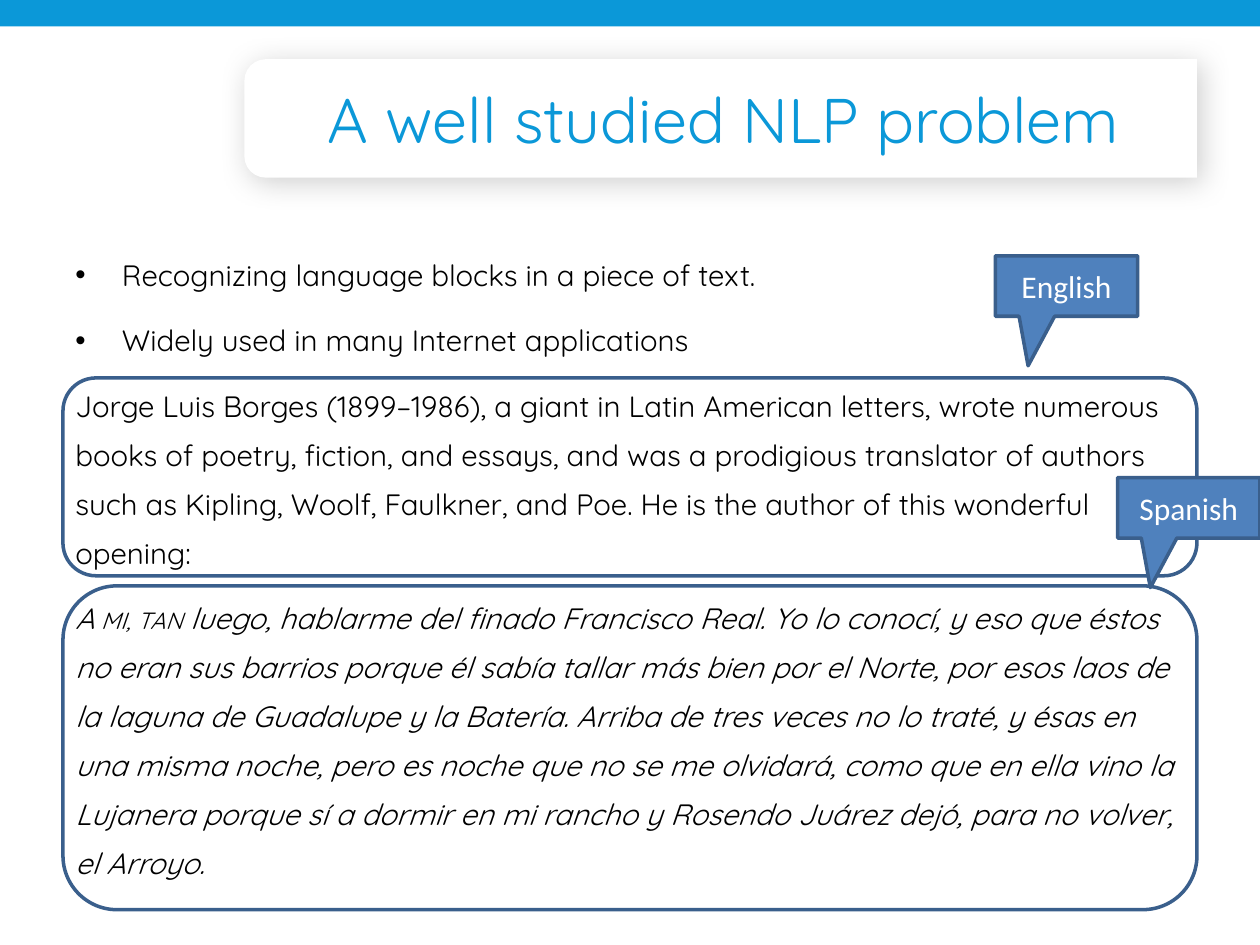
from lxml.etree import SubElement
from pptx import Presentation
from pptx.dml.color import RGBColor
from pptx.enum.shapes import MSO_SHAPE as Shape
from pptx.enum.text import MSO_ANCHOR as Anchor, MSO_AUTO_SIZE as AutoSize, PP_ALIGN as Align
from pptx.oxml.ns import qn
from pptx.util import Inches, Pt

COLORS = {"blue": "0B98D8", "callout": "4F81BD", "outline": "3A5F8C",
          "white": "FFFFFF", "black": "000000"}
TITLE = "A well studied NLP problem"
BULLETS = ["Recognizing language blocks in a piece of text.",
           "Widely used in many Internet applications"]
ENGLISH = ("Jorge Luis Borges (1899–1986), a giant in Latin American letters, wrote "
           "numerous books of poetry, fiction, and essays, and was a prodigious translator "
           "of authors such as Kipling, Woolf, Faulkner, and Poe. He is the author of this "
           "wonderful opening:")
SPANISH_LEAD = "A mi, tan"
SPANISH = (" luego, hablarme del finado Francisco Real. Yo lo conocí, y eso que éstos no "
           "eran sus barrios porque él sabía tallar más bien por el Norte, por esos laos de "
           "la laguna de Guadalupe y la Batería. Arriba de tres veces no lo traté, y ésas en "
           "una misma noche, pero es noche que no se me olvidará, como que en ella vino la "
           "Lujanera porque sí a dormir en mi rancho y Rosendo Juárez dejó, para no volver, "
           "el Arroyo.")
BLOCK_ROWS = [(3, 1.57), (4.65, 2.57)]                        # top, height
CALLOUTS = [("English", 7.9, 2.03), ("Spanish", 8.87, 3.79)]  # label, left, top

WIDTH, HEIGHT, MARGIN = 10, 7.5, 0.5
CONTENT_WIDTH = WIDTH - 2 * MARGIN
TITLE_TOP, TITLE_HEIGHT = 0.47, 0.94
PANEL_WIDTH = 7.56
INDENT = 0.37


def color(name):
    return RGBColor.from_string(COLORS[name])


def set_font(font, size, name, color_name):
    font.size, font.name = Pt(size), name
    font.color.rgb = color(color_name)


def add_shape(kind, left, top, width, height, fill=None, line=None):
    shape = slide.shapes.add_shape(kind, *map(Inches, (left, top, width, height)))
    shape.shadow.inherit = False
    if fill:
        shape.fill.solid()
        shape.fill.fore_color.rgb = color(fill)
    else:
        shape.fill.background()
    if line:
        shape.line.color.rgb = color(line)
        shape.line.width = Pt(2)
    else:
        shape.line.fill.background()
    return shape


def add_soft_shadow(shape):
    effects = shape._element.spPr.find(qn("a:effectLst"))
    shadow = SubElement(effects, qn("a:outerShdw"), blurRad=str(Pt(17)), dist=str(Pt(3)),
                        dir=str(45 * 60000), algn="ctr", rotWithShape="0")
    tint = SubElement(shadow, qn("a:srgbClr"), val=COLORS["black"])
    SubElement(tint, qn("a:alpha"), val="19000")


def add_bullet(paragraph):
    properties = paragraph._p.get_or_add_pPr()
    properties.set("marL", str(Inches(INDENT)))
    properties.set("indent", str(-Inches(INDENT)))
    SubElement(properties, qn("a:buFont"), typeface="Arial")
    SubElement(properties, qn("a:buChar"), char="•")


presentation = Presentation()
presentation.slide_width, presentation.slide_height = Inches(WIDTH), Inches(HEIGHT)
slide = presentation.slides.add_slide(presentation.slide_layouts[5])

# Title panel, turned so that its two rounded corners face left
panel = add_shape(Shape.ROUND_2_SAME_RECTANGLE,
                  WIDTH - MARGIN - (PANEL_WIDTH + TITLE_HEIGHT) / 2,
                  TITLE_TOP + (TITLE_HEIGHT - PANEL_WIDTH) / 2,
                  TITLE_HEIGHT, PANEL_WIDTH, fill="white")
panel.rotation = 270
panel.adjustments[0] = 0.18
add_soft_shadow(panel)
add_shape(Shape.RECTANGLE, 0, 0, WIDTH, 0.21, fill="blue")

# Body text
body = slide.shapes.add_textbox(*map(Inches, (MARGIN, 1.88, CONTENT_WIDTH, 5.45)))
frame = body.text_frame
frame.word_wrap = True
body_runs = [[text] for text in BULLETS] + [[ENGLISH], [SPANISH_LEAD, SPANISH]]
for index, texts in enumerate(body_runs):
    paragraph = frame.add_paragraph() if index else frame.paragraphs[0]
    paragraph.line_spacing = Pt(28)
    paragraph.space_before = Pt(3.36 if index else 0)
    paragraph.space_after = Pt(6)
    if index < len(BULLETS):
        add_bullet(paragraph)
    set_font(paragraph.font, 16.8, "Quicksand", "black")
    for text in texts:
        paragraph.add_run().text = text
spanish_paragraph = frame.paragraphs[-1]
spanish_paragraph.font.italic = True
spanish_paragraph.runs[0].font._element.set("cap", "small")

# Title, raised above its panel
title = slide.shapes.title
slide.shapes._spTree.append(title._element)
title.left, title.top, title.width, title.height = map(
    Inches, (2.5, TITLE_TOP, 7, TITLE_HEIGHT))
title.text_frame.text = TITLE
title.text_frame.auto_size = AutoSize.NONE
title.text_frame.vertical_anchor = Anchor.MIDDLE
title_paragraph = title.text_frame.paragraphs[0]
title_paragraph.alignment = Align.LEFT
set_font(title_paragraph.font, 36, "Quicksand", "blue")

# Language blocks and their callouts
for top, height in BLOCK_ROWS:
    add_shape(Shape.ROUNDED_RECTANGLE, MARGIN, top, CONTENT_WIDTH, height, line="outline")
for label, left, top in CALLOUTS:
    callout = add_shape(Shape.RECTANGULAR_CALLOUT, left, top, 1.13, 0.48,
                        fill="callout", line="outline")
    callout.adjustments[0], callout.adjustments[1] = -0.27, 1.32
    callout.text_frame.text = label
    callout.text_frame.vertical_anchor = Anchor.MIDDLE
    paragraph = callout.text_frame.paragraphs[0]
    paragraph.alignment = Align.CENTER
    set_font(paragraph.font, 18, "Calibri", "white")

presentation.save("out.pptx")
